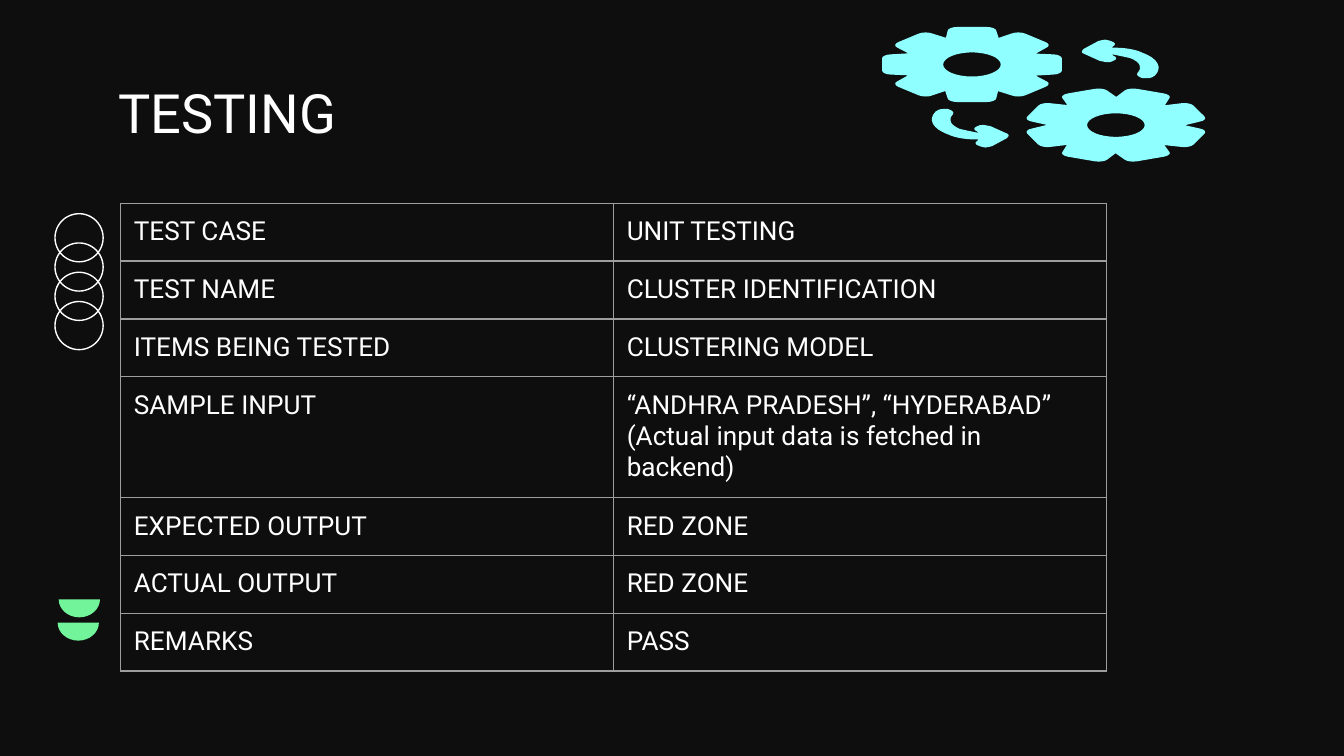
import math

import lxml.etree
import pptx
import pptx.dml.color
import pptx.enum.shapes
import pptx.oxml
import pptx.oxml.ns
import pptx.util

Cm = pptx.util.Cm
Pt = pptx.util.Pt
qn = pptx.oxml.ns.qn

COLORS = {
    "background": "0E0E0E",
    "text": "FFFFFF",
    "border": "9E9E9E",
    "gear": "8FFFFF",
    "accent": "72F49A",
}
FONT = "Roboto"
ROWS = [
    ("TEST CASE", "UNIT TESTING"),
    ("TEST NAME", "CLUSTER IDENTIFICATION"),
    ("ITEMS BEING TESTED", "CLUSTERING MODEL"),
    ("SAMPLE INPUT", "“ANDHRA PRADESH”, “HYDERABAD” (Actual input data is fetched in backend)"),
    ("EXPECTED OUTPUT", "RED ZONE"),
    ("ACTUAL OUTPUT", "RED ZONE"),
    ("REMARKS", "PASS"),
]
# An outline is a list of steps: one point is a move or a line, three points are a Bézier curve.
ARROW_GRID = (61, 29)
ARROW = [
    [(18, 0)], [(16, 0), (14, 1), (13, 1)], [(2, 7)], [(0, 9), (0, 10), (3, 11)], [(14, 16)],
    [(16, 17), (17, 17), (19, 17)], [(21, 17), (23, 17), (24, 16)], [(27, 15), (27, 13), (24, 12)],
    [(23, 11)], [(28, 12), (33, 13), (37, 14)], [(44, 17), (46, 21), (42, 25)],
    [(41, 27), (43, 28), (46, 29)], [(47, 29), (48, 29), (49, 29)], [(52, 29), (54, 28), (55, 27)],
    [(61, 21), (57, 14), (46, 10)], [(40, 7), (32, 6), (23, 6)], [(24, 5)],
    [(26, 4), (26, 2), (22, 1)], [(21, 1), (20, 0), (18, 0)],
]
BEND = 0.55  # control distance that makes a cubic follow a quarter circle
HALF_DISC = [[(1, 0)], [(1, BEND), (BEND, 1), (0, 1)], [(-BEND, 1), (-1, BEND), (-1, 0)]]
DISC = HALF_DISC + [[(-1, -BEND), (-BEND, -1), (0, -1)], [(BEND, -1), (1, -BEND), (1, 0)]]
TOOTH = [
    [(0.71, -0.29)], [(0.9, -0.27)], [(0.95, -0.27), (1, -0.22), (1, -0.16)],
    [(1, 0.16)], [(1, 0.22), (0.95, 0.27), (0.9, 0.27)],
]


def color(name):
    return pptx.dml.color.RGBColor.from_string(COLORS[name])


def style_text(paragraph, size):
    for span in paragraph.runs:
        span.font.name = FONT
        span.font.size = Pt(size)
        span.font.color.rgb = color("text")


def placed(outline, center, radii):
    return [[(center[0] + radii[0] * x, center[1] + radii[1] * y) for x, y in step] for step in outline]


def turned(outline, degrees):
    cos, sin = math.cos(math.radians(degrees)), math.sin(math.radians(degrees))
    return [[(x * cos - y * sin, x * sin + y * cos) for x, y in step] for step in outline]


def add_outlines(page, outlines, fill):
    """Fill closed outlines, given in centimetres, as one shape with true curves."""
    builder = None
    for outline in outlines:
        points = [(Cm(x), Cm(y)) for step in outline for x, y in step]
        if builder is None:
            builder = page.shapes.build_freeform(*points[0])
        else:
            builder.move_to(*points[0])
        builder.add_line_segments(points[1:], close=True)
    shape = builder.convert_to_shape()
    lines = iter(list(shape._element.iter(qn("a:lnTo"))))
    for step in (step for outline in outlines for step in outline[1:]):
        parts = [next(lines) for point in step]
        if len(parts) == 3:
            curve = lxml.etree.Element(qn("a:cubicBezTo"))
            parts[0].addprevious(curve)
            for part in parts:
                curve.append(part[0])
                part.getparent().remove(part)
    shape.shadow.inherit = False
    shape.fill.solid()
    shape.fill.fore_color.rgb = color(fill)
    shape.line.fill.background()


def add_gear(page, box, turn):
    """Draw a flattened gear with eight teeth, turned by the given degrees."""
    left, top, width, height = box
    center = (left + width / 2, top + height / 2)
    rim = [step for index in range(8) for step in turned(TOOTH, turn + 45 * index)]
    add_outlines(page, [
        placed(rim, center, (width / 2, height / 2)),
        placed(DISC, center, (0.16 * width, 0.16 * height)),
    ], "gear")


def add_curved_arrow(page, box, reverse=False):
    left, top, width, height = box
    across, down = width / ARROW_GRID[0], height / ARROW_GRID[1]
    if reverse:
        arrow = placed(ARROW, (left + width, top + height), (-across, -down))
    else:
        arrow = placed(ARROW, (left, top), (across, down))
    add_outlines(page, [arrow], "gear")


def add_gears(page, box):
    left, top = box[:2]
    add_gear(page, (left, top, 3.4, 1.42), 0)
    add_gear(page, (left + 2.72, top + 1.16, 3.4, 1.39), 22.5)
    add_curved_arrow(page, (left + 3.76, top + 0.24, 1.55, 0.73))
    add_curved_arrow(page, (left + 0.86, top + 1.55, 1.55, 0.73), reverse=True)


def add_circle_chain(page, box):
    left, top, width, height = box
    step = (height - width) / 3
    for index in range(4):
        circle = page.shapes.add_shape(
            pptx.enum.shapes.MSO_SHAPE.OVAL, Cm(left), Cm(top + index * step), Cm(width), Cm(width))
        circle.shadow.inherit = False
        circle.fill.background()
        circle.line.color.rgb = color("text")
        circle.line.width = Pt(0.75)


def add_half_discs(page, box):
    left, top, width, height = box
    depth = 0.34
    for x, y in ((left, top + height - depth), (left + 0.02, top)):
        half = placed(HALF_DISC, (x + width / 2, y), (width / 2, depth))
        add_outlines(page, [half], "accent")


def add_title(page, box):
    frame = page.shapes.add_textbox(*map(Cm, box)).text_frame
    frame.word_wrap = True
    frame.margin_top = 0
    frame.text = "TESTING"
    style_text(frame.paragraphs[0], 29)


def set_borders(cell):
    properties = cell._tc.get_or_add_tcPr()
    for index, side in enumerate(("lnL", "lnR", "lnT", "lnB")):
        properties.insert(index, pptx.oxml.parse_xml(
            f'<a:{side} {pptx.oxml.ns.nsdecls("a")} w="{Pt(0.75)}"><a:solidFill>'
            f'<a:srgbClr val="{COLORS["border"]}"/></a:solidFill></a:{side}>'))


def add_test_table(page, box):
    left, top, width, height = box
    tall = 2.24
    short = (height - tall) / (len(ROWS) - 1)
    table = page.shapes.add_table(len(ROWS), 2, *map(Cm, box)).table
    for column in table.columns:
        column.width = Cm(width / 2)
    for row, texts in zip(table.rows, ROWS):
        row.height = Cm(tall if texts[0] == "SAMPLE INPUT" else short)
        for cell, text in zip(row.cells, texts):
            cell.text = text
            cell.margin_left = cell.margin_right = Cm(0.25)
            cell.margin_top = cell.margin_bottom = Cm(0.25)
            cell.fill.background()
            set_borders(cell)
            style_text(cell.text_frame.paragraphs[0], 14)


def main():
    deck = pptx.Presentation()
    deck.slide_width, deck.slide_height = Cm(25.4), Cm(14.29)
    page = deck.slides.add_slide(deck.slide_layouts[6])
    page.background.fill.solid()
    page.background.fill.fore_color.rgb = color("background")
    add_half_discs(page, (1.09, 11.33, 0.78, 0.78))
    add_circle_chain(page, (1.04, 4.04, 0.91, 2.57))
    add_title(page, (1.99, 1.5, 21.43, 1.17))
    add_test_table(page, (2.28, 3.84, 18.63, 8.79))
    add_gears(page, (16.67, 0.51, 6.12, 2.57))
    deck.save("out.pptx")


if __name__ == "__main__":
    main()
